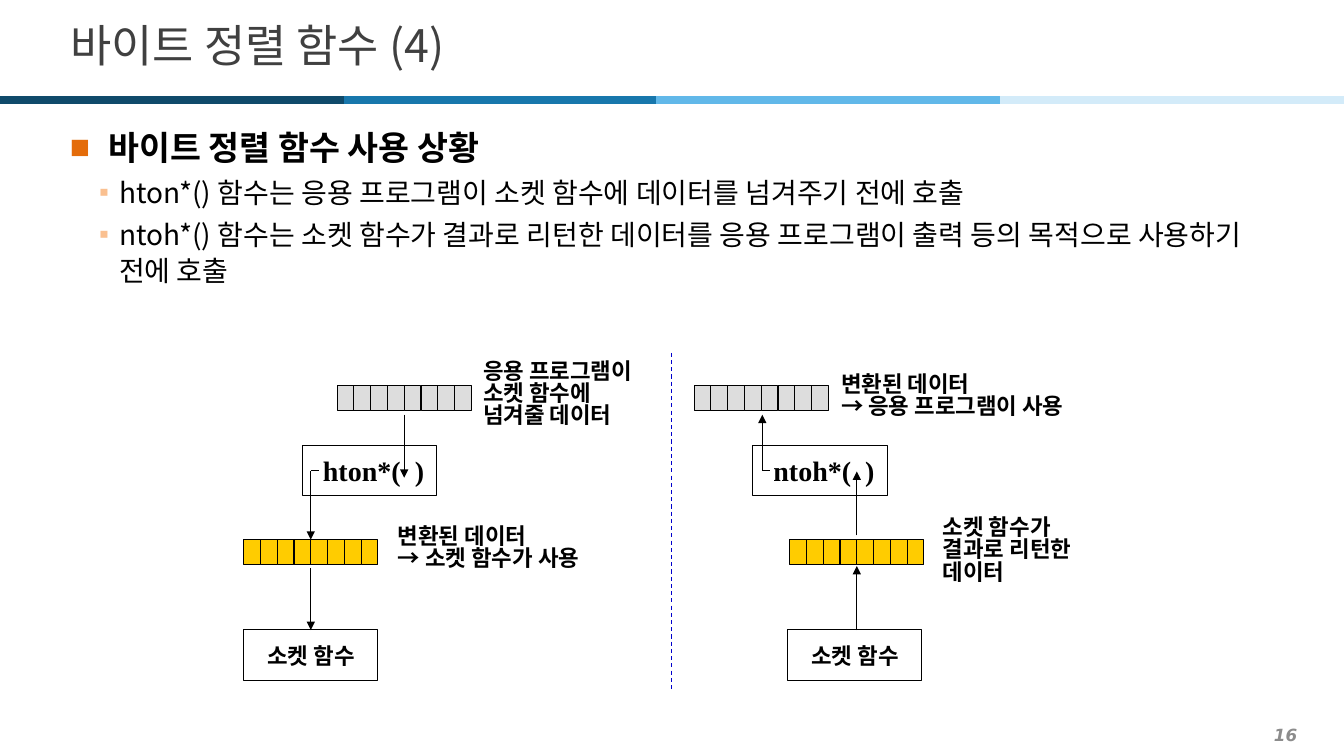
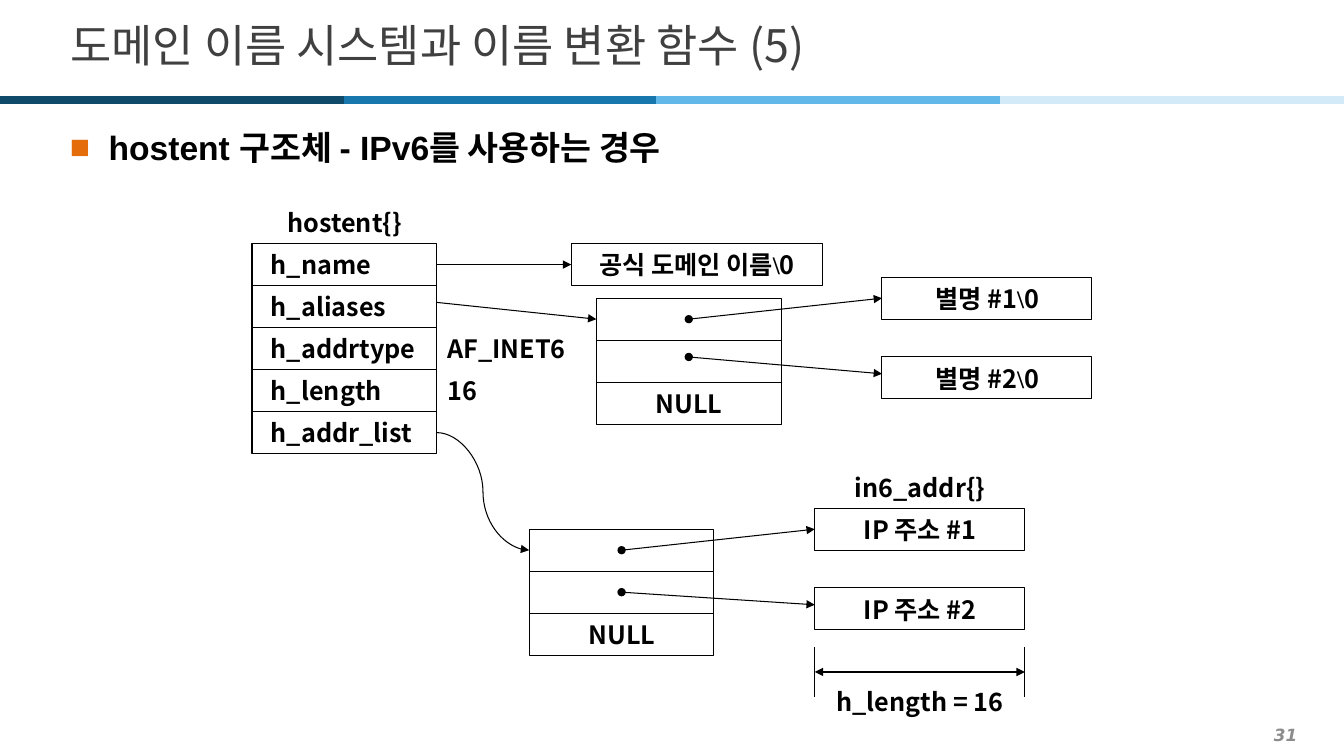
from itertools import pairwise

from lxml.etree import SubElement
from pptx import Presentation
from pptx.dml.color import RGBColor
from pptx.enum.dml import MSO_LINE_DASH_STYLE as Dash
from pptx.enum.shapes import MSO_CONNECTOR_TYPE as Link, MSO_SHAPE as Preset
from pptx.enum.text import MSO_ANCHOR as Anchor, PP_ALIGN as Align
from pptx.oxml.ns import qn
from pptx.util import Pt

PX = 9525
COLORS = {
    "ink": "000000", "title": "404040", "footer": "8C8C8C",
    "band1": "0F4A6B", "band2": "1877AC", "band3": "61B8E9", "band4": "D3EBF9",
    "bullet1": "E46C0A", "bullet2": "FAC090",
    "gray": "DDDDDD", "yellow": "FFCC00", "divider": "0000CC",
}
KOREAN = "Noto Sans CJK KR"
SERIF = "Times New Roman"
TOP, LEFT, BOTTOM, RIGHT = range(4)
CELL_W, CELL_H, CELLS = 16, 24, 8
ROW_W, ROW_H, TARGET_W = 176, 40, 200


def px(value):
    return round(value * PX)


def color(name):
    return RGBColor.from_string(COLORS[name])


def add_span(para, text, size, font=KOREAN, ink="ink", bold=True, italic=False):
    span = para.add_run()
    span.text = text
    span.font.size = Pt(size)
    span.font.name = font
    span.font.bold = bold
    span.font.italic = italic
    span.font.color.rgb = color(ink)
    SubElement(span.font._element, qn("a:ea")).set("typeface", KOREAN)


def fill_text(shape, lines, size, align=Align.CENTER, inset=10, **style):
    frame = shape.text_frame
    frame.word_wrap = True
    frame.vertical_anchor = Anchor.MIDDLE
    frame.margin_left = px(inset)
    for index, line in enumerate(lines):
        para = frame.paragraphs[0] if index == 0 else frame.add_paragraph()
        para.alignment = align
        if len(lines) > 1:
            para.line_spacing = 0.83
        for text, font in [(line, None)] if isinstance(line, str) else line:
            add_span(para, text, size, **(style | ({"font": font} if font else {})))


def add_label(page, x, y, w, h, lines, size, align=Align.LEFT, **style):
    box = page.shapes.add_textbox(px(x), px(y), px(w), px(h))
    fill_text(box, lines, size, align, **style)
    return box


def add_box(page, x, y, w, h, lines=(), size=18, fill=None, **style):
    box = page.shapes.add_shape(Preset.RECTANGLE, px(x), px(y), px(w), px(h))
    box.shadow.inherit = False
    if fill:
        box.fill.solid()
        box.fill.fore_color.rgb = color(fill)
    else:
        box.fill.background()
    box.line.color.rgb = color("ink")
    box.line.width = Pt(0.75)
    if lines:
        fill_text(box, lines, size, **style)
    return box


def add_line(page, x1, y1, x2, y2, ink="ink", width=0.75, head=None, tail=None,
             start=None, end=None, kind=Link.STRAIGHT):
    line = page.shapes.add_connector(kind, px(x1), px(y1), px(x2), px(y2))
    SubElement(line._element.spPr, qn("a:effectLst"))
    line.line.color.rgb = color(ink)
    line.line.width = Pt(width)
    for tag, mark in (("a:headEnd", head), ("a:tailEnd", tail)):
        if mark:
            SubElement(line.line._get_or_add_ln(), qn(tag)).set("type", mark)
    if start:
        line.begin_connect(*start)
    if end:
        line.end_connect(*end)
    return line


def add_arrow(page, x1, y1, x2, y2, **options):
    return add_line(page, x1, y1, x2, y2, tail="triangle", **options)


def add_bullet(para, level):
    mark, ink, margin, hang = (("■", "bullet1", 37, 37), ("▪", "bullet2", 47, 19))[level]
    props = para._p.get_or_add_pPr()
    props.set("marL", str(px(margin)))
    props.set("indent", str(px(-hang)))
    SubElement(SubElement(props, qn("a:buClr")), qn("a:srgbClr")).set("val", COLORS[ink])
    SubElement(props, qn("a:buFont")).set("typeface", "Arial")
    SubElement(props, qn("a:buChar")).set("char", mark)


def add_frame(deck, title, number):
    page = deck.slides.add_slide(deck.slide_layouts[6])
    add_label(page, 19, 685, 1226, 30, [number], 12, Align.RIGHT,
              font="DejaVu Sans", ink="footer", italic=True)
    for index, (x1, x2) in enumerate(pairwise((0, 328, 625, 952, 1280)), 1):
        add_line(page, x1, 95, x2, 95, f"band{index}", 6)
    add_label(page, 57, 10, 1172, 65, [title], 32, ink="title", bold=False)
    return page


def add_body(page, heading, points=()):
    box = page.shapes.add_textbox(px(57), px(116), px(1172), px(576))
    frame = box.text_frame
    frame.word_wrap = True
    para = frame.paragraphs[0]
    para.space_after = Pt(2)
    add_bullet(para, 0)
    add_span(para, heading, 24, "Arial")
    for point in points:
        para = frame.add_paragraph()
        para.line_spacing = 1.08
        para.space_before = para.space_after = Pt(2)
        add_bullet(para, 1)
        add_span(para, point, 20, bold=False)


def add_bytes(page, x, y, fill):
    for index in range(CELLS):
        add_box(page, x + index * CELL_W, y, CELL_W, CELL_H, fill=fill)


def add_call(page, x, y, name):
    return add_box(page, x, y, 128, 48, [name], 20, inset=17, font=SERIF)


def add_socket(page, x, y):
    return add_box(page, x, y, 128, 48, ["소켓 함수"], 16)


def add_sending(page, x, y):
    socket = add_socket(page, x, y + 248)
    add_call(page, x + 56, y + 72, "hton*(  )")
    add_bytes(page, x, y + 162, "yellow")
    add_arrow(page, x + 64, y + 97, x + 64, y + 162)
    add_line(page, x + 64, y + 96, x + 72, y + 96)
    add_arrow(page, x + 64, y + 189, x + 64, y + 248, end=(socket, TOP))
    add_arrow(page, x + 153, y + 43, x + 153, y + 103)
    add_bytes(page, x + 89, y + 15, "gray")
    add_label(page, x + 218, y, 181, 48, ["응용 프로그램이", "소켓 함수에", "넘겨줄 데이터"], 16)
    add_label(page, x + 137, y + 147, 240, 48, ["변환된 데이터", "→ 소켓 함수가 사용"], 16)


def add_receiving(page, x, y):
    add_socket(page, x + 89, y + 248)
    add_arrow(page, x + 65, y + 96, x + 65, y + 43)
    add_bytes(page, x, y + 15, "gray")
    add_call(page, x + 56, y + 72, "ntoh*(  )")
    add_line(page, x + 65, y + 96, x + 72, y + 96)
    add_label(page, x + 130, y + 2, 260, 48, ["변환된 데이터", "→ 응용 프로그램이 사용"], 16)
    add_bytes(page, x + 91, y + 162, "yellow")
    add_arrow(page, x + 155, y + 158, x + 155, y + 97)
    add_arrow(page, x + 155, y + 248, x + 155, y + 187)
    add_label(page, x + 227, y + 149, 170, 48, ["소켓 함수가", "결과로 리턴한", "데이터"], 16)


def add_struct(page, x, y):
    add_label(page, x, y, ROW_W, ROW_H, ["hostent{}"], 18, Align.CENTER)
    fields = ("h_name", "h_aliases", "h_addrtype", "h_length", "h_addr_list")
    rows = {
        field: add_box(page, x, y + index * ROW_H, ROW_W, ROW_H, [field],
                       align=Align.LEFT, inset=18)
        for index, field in enumerate(fields, 1)
    }
    for index, value in ((3, "AF_INET6"), (4, "16")):
        add_label(page, x + ROW_W, y + index * ROW_H, 144, ROW_H, [value], 18)
    return rows


def add_pointers(page, x, y, target_x, targets, second_start, second_end):
    rows = [add_box(page, x, y + index * ROW_H, ROW_W, ROW_H, lines)
            for index, lines in enumerate(((), (), ["NULL"]))]
    first, _ = [add_box(page, target_x, y - 20 + index * 76, TARGET_W, ROW_H, [text])
                for index, text in enumerate(targets)]
    middle = x + ROW_W // 2
    add_arrow(page, middle, y + 20, target_x, y, head="oval", end=(first, LEFT))
    add_arrow(page, middle, y + second_start, target_x, y + second_end, head="oval")
    return rows[0]


def add_measure(page, x, y, w, text):
    for edge in (x, x + w):
        add_line(page, edge, y, edge, y + 48)
    add_arrow(page, x, y + 24, x + w, y + 24, head="triangle")
    add_label(page, x, y + 40, w, 24, [text], 18, Align.CENTER)


def with_null(text):
    return [(text, KOREAN), ("\\", SERIF), ("0", KOREAN)]


def build_byte_order(deck):
    page = add_frame(deck, "바이트 정렬 함수 (4)", "16")
    add_body(page, "바이트 정렬 함수 사용 상황", (
        "hton*() 함수는 응용 프로그램이 소켓 함수에 데이터를 넘겨주기 전에 호출",
        "ntoh*() 함수는 소켓 함수가 결과로 리턴한 데이터를 응용 프로그램이 출력 등의 목적으로 사용하기 전에 호출",
    ))
    divider = add_line(page, 640, 336, 640, 656, "divider")
    divider.line.dash_style = Dash.DASH
    add_sending(page, 232, 352)
    add_receiving(page, 661, 352)


def build_hostent(deck):
    page = add_frame(deck, "도메인 이름 시스템과 이름 변환 함수 (5)", "31")
    add_body(page, "hostent 구조체 - IPv6를 사용하는 경우")
    fields = add_struct(page, 240, 192)
    name = add_box(page, 544, 232, 239, ROW_H, [with_null("공식 도메인 이름")])
    add_arrow(page, 416, 252, 544, 252, start=(fields["h_name"], RIGHT), end=(name, LEFT))
    aliases = add_pointers(page, 568, 284, 840,
                           [with_null("별명 #1"), with_null("별명 #2")], 56, 72)
    add_arrow(page, 416, 288, 568, 304, end=(aliases, LEFT))
    addresses = add_pointers(page, 504, 504, 776, ["IP 주소 #1", "IP 주소 #2"], 60, 72)
    add_arrow(page, 416, 412, 504, 524, kind=Link.CURVE,
              start=(fields["h_addr_list"], RIGHT), end=(addresses, LEFT))
    add_label(page, 776, 448, TARGET_W, 32, ["in6_addr{}"], 18, Align.CENTER)
    add_measure(page, 776, 616, TARGET_W, "h_length = 16")


def main():
    deck = Presentation()
    deck.slide_width, deck.slide_height = px(1280), px(720)
    build_byte_order(deck)
    build_hostent(deck)
    deck.save("out.pptx")


if __name__ == "__main__":
    main()
